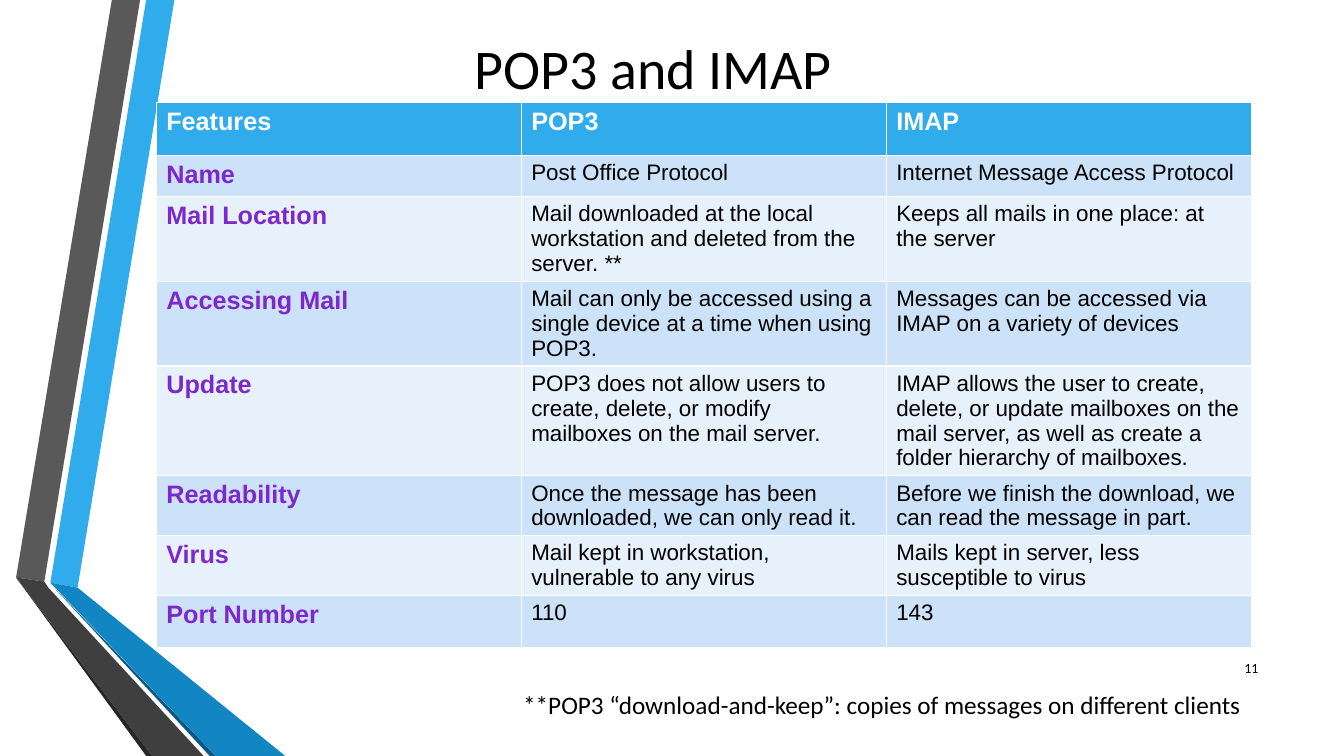
from dataclasses import dataclass

from pptx import Presentation
from pptx.dml.color import RGBColor as RGB
from pptx.enum.text import MSO_ANCHOR as ANCHOR, PP_ALIGN as ALIGN
from pptx.util import Inches, Pt


@dataclass(frozen=True)
class Theme:
    body_font: str = "Calibri"
    table_font: str = "Arial"
    black: str = "000000"
    white: str = "FFFFFF"
    feature: str = "7D28CD"
    header: str = "30ACEC"
    bands: tuple = ("CCE2F8", "E7F1FB")
    blue: str = "30ACEC"
    blue_fold: str = "1186C3"
    blue_edge: str = "0B5982"
    gray: str = "595959"
    gray_fold: str = "3F3F3F"
    gray_edge: str = "262626"
    title_size: int = 40
    label_size: int = 18
    cell_size: int = 16
    number_size: int = 10


THEME = Theme()

# Ribbon outlines in inches from the slide's top left corner, back to front
RIBBONS = [
    (THEME.blue, [(0.5, 5.78), (0.77, 5.83), (1.73, 0), (1.45, 0)]),
    (THEME.gray, [(1.39, 0), (1.11, 0), (0.16, 5.73), (0.44, 5.77)]),
    (THEME.gray_edge, [(0.16, 5.73), (1.45, 7.5), (1.51, 7.5)]),
    (THEME.blue_edge, [(0.5, 5.79), (2.08, 7.5), (2.14, 7.5)]),
    (THEME.blue_fold, [(0.5, 5.78), (2.14, 7.5), (2.83, 7.5), (0.77, 5.83)]),
    (THEME.gray_fold, [(2.02, 7.5), (0.48, 5.83), (0.44, 5.77),
                       (0.16, 5.73), (1.51, 7.5)]),
]

# Row height in inches, then feature, POP3, IMAP
COMPARISON = [
    (0.52, "Features", "POP3", "IMAP"),
    (0.41, "Name", "Post Office Protocol", "Internet Message Access Protocol"),
    (0.84, "Mail Location",
     "Mail downloaded at the local workstation and deleted from the server. **",
     "Keeps all mails in one place: at the server"),
    (0.84, "Accessing Mail",
     "Mail can only be accessed using a single device at a time when using POP3.",
     "Messages can be accessed via IMAP on a variety of devices"),
    (1.09, "Update",
     "POP3 does not allow users to create, delete, or modify mailboxes on the mail server.",
     "IMAP allows the user to create, delete, or update mailboxes on the mail server, "
     "as well as create a folder hierarchy of mailboxes."),
    (0.59, "Readability",
     "Once the message has been downloaded, we can only read it.",
     "Before we finish the download, we can read the message in part."),
    (0.59, "Virus",
     "Mail kept in workstation, vulnerable to any virus",
     "Mails kept in server, less susceptible to virus"),
    (0.52, "Port Number", "110", "143"),
]


def write(frame, text, size, font, color=THEME.black, bold=False, align=ALIGN.LEFT):
    paragraph = frame.paragraphs[0]
    paragraph.alignment = align
    run = paragraph.add_run()
    run.text = text
    run.font.color.rgb = RGB.from_string(color)
    for name, value in {"size": Pt(size), "name": font, "bold": bold}.items():
        setattr(run.font, name, value)


def add_ribbons(slide, left, top):
    for color, outline in RIBBONS:
        points = [(left + Inches(x), top + Inches(y)) for x, y in outline]
        builder = slide.shapes.build_freeform(*points[0])
        builder.add_line_segments(points[1:], close=True)
        ribbon = builder.convert_to_shape()
        ribbon.shadow.inherit = False
        ribbon.fill.solid()
        ribbon.fill.fore_color.rgb = RGB.from_string(color)
        ribbon.line.fill.background()


def add_comparison(slide, left, top, width):
    height = Inches(sum(row[0] for row in COMPARISON))
    table = slide.shapes.add_table(len(COMPARISON), 3, left, top, width, height).table
    for r, (row_height, *texts) in enumerate(COMPARISON):
        table.rows[r].height = Inches(row_height)
        fill = THEME.bands[(r - 1) % 2] if r else THEME.header
        for c, text in enumerate(texts):
            cell = table.cell(r, c)
            cell.fill.solid()
            cell.fill.fore_color.rgb = RGB.from_string(fill)
            is_label = r == 0 or c == 0
            color = THEME.white if r == 0 else THEME.feature if c == 0 else THEME.black
            size = THEME.label_size if is_label else THEME.cell_size
            write(cell.text_frame, text, size, THEME.table_font, color, is_label)


def add_text(slide, box, text, size, align=ALIGN.LEFT, anchor=ANCHOR.TOP):
    frame = slide.shapes.add_textbox(*map(Inches, box)).text_frame
    frame.word_wrap = True
    frame.vertical_anchor = anchor
    write(frame, text, size, THEME.body_font, align=align)


def main():
    deck = Presentation()
    deck.slide_width, deck.slide_height = Inches(13.33), Inches(7.5)
    slide = deck.slides.add_slide(deck.slide_layouts[6])

    # Folded ribbons on the left edge
    add_ribbons(slide, Inches(0), Inches(0))

    # Protocol comparison with its footnote
    add_comparison(slide, Inches(1.55), Inches(1.02), Inches(10.86))
    add_text(slide, (5.09, 6.79, 7.51, 0.4),
             "**POP3 “download-and-keep”: copies of messages on different clients",
             THEME.label_size)

    # Title and slide number
    add_text(slide, (2.23, 0.23, 8.5, 0.87), "POP3 and IMAP",
             THEME.title_size, ALIGN.CENTER, ANCHOR.MIDDLE)
    add_text(slide, (11.98, 6.43, 0.6, 0.4), "11",
             THEME.number_size, ALIGN.RIGHT, ANCHOR.MIDDLE)

    deck.save("out.pptx")


if __name__ == "__main__":
    main()
